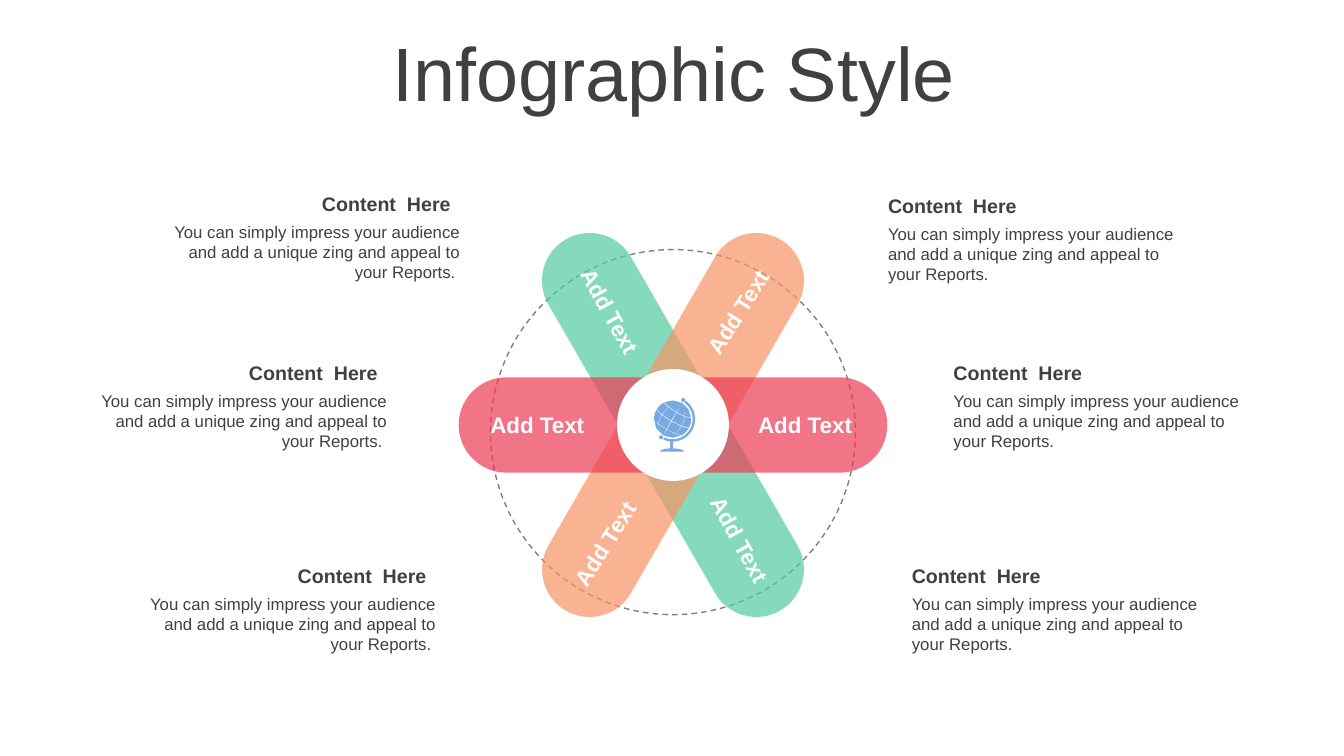
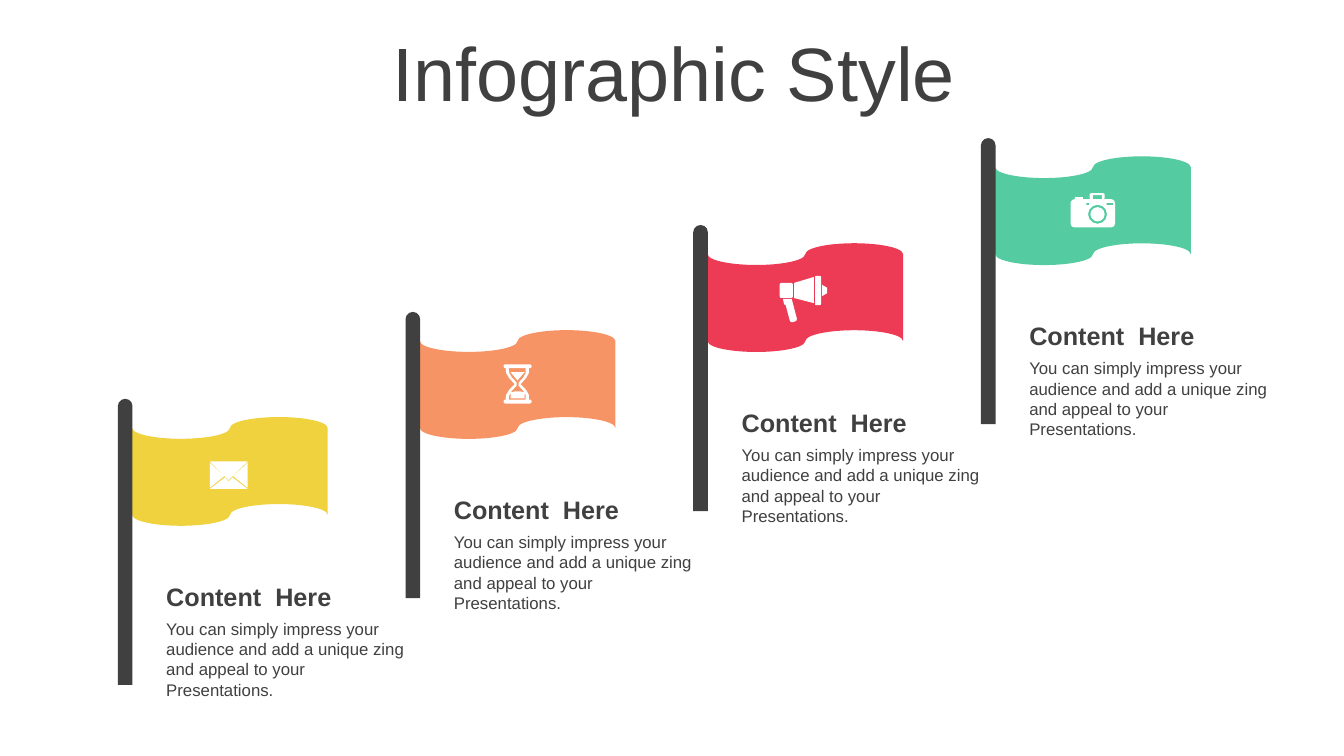
"""Builds two infographic slides: a wheel of six labels and a rising row of flags."""
from dataclasses import dataclass
from itertools import pairwise, product
from math import cos, pi, radians, sin
from typing import Callable, Optional

from lxml.etree import SubElement
from pptx import Presentation
from pptx.dml.color import RGBColor
from pptx.enum.dml import MSO_LINE
from pptx.enum.shapes import MSO_SHAPE
from pptx.enum.text import MSO_ANCHOR, MSO_AUTO_SIZE, PP_ALIGN
from pptx.oxml.ns import qn
from pptx.shapes.autoshape import Shape
from pptx.slide import Slide
from pptx.util import Cm, Pt

DARK = RGBColor(0x40, 0x40, 0x40)
GREY = RGBColor(0x80, 0x80, 0x80)
WHITE = RGBColor(0xFF, 0xFF, 0xFF)
GREEN = RGBColor(0x54, 0xCB, 0xA0)
ORANGE = RGBColor(0xF7, 0x94, 0x65)
RED = RGBColor(0xED, 0x3B, 0x55)
YELLOW = RGBColor(0xF0, 0xD2, 0x3F)
BLUE = RGBColor(0x78, 0xAA, 0xE1)

FONT = "Arial"
HEADING = "Content  Here"
PITCH = "You can simply impress your audience and add a unique zing and appeal to your "

Contour = list[tuple[float, ...]]


@dataclass(frozen=True)
class Blade:
    """A wheel blade through the hub."""
    color: RGBColor
    angle: float


@dataclass(frozen=True)
class Label:
    """A blade label, placed by its centre."""
    x: float
    y: float
    angle: float = 0


@dataclass(frozen=True)
class Caption:
    """A caption beside the wheel; edge is the side facing the wheel."""
    edge: float
    top: float
    align: PP_ALIGN


@dataclass(frozen=True)
class Flag:
    """A flag with the icon outlines and the icon's offset in the cloth."""
    color: RGBColor
    icon: list[Contour]
    dx: float
    dy: float


def rounded(x: float, y: float, w: float, h: float, r: float) -> Contour:
    """Outline of a rounded rectangle."""
    k, right, bottom = 0.45 * r, x + w, y + h
    return [
        (x + r, y), (right - r, y), (right - k, y, right, y + k, right, y + r),
        (right, bottom - r), (right, bottom - k, right - k, bottom, right - r, bottom),
        (x + r, bottom), (x + k, bottom, x, bottom - k, x, bottom - r),
        (x, y + r), (x, y + k, x + k, y, x + r, y),
    ]


def circle(x: float, y: float, r: float) -> Contour:
    """Outline of a circle around a centre."""
    k = 0.55 * r
    return [
        (x, y - r), (x + k, y - r, x + r, y - k, x + r, y),
        (x + r, y + k, x + k, y + r, x, y + r), (x - k, y + r, x - r, y + k, x - r, y),
        (x - r, y - k, x - k, y - r, x, y - r),
    ]


def box(x: float, y: float, w: float, h: float) -> Contour:
    """Outline of a rectangle."""
    return [(x, y), (x + w, y), (x + w, y + h), (x, y + h)]


def globe() -> list[Contour]:
    """Outlines of a tilted desk globe: the cells between its grid lines, arm and stand."""
    x, y, radius, tilt, gap = 47, 53, 47, radians(30), 0.02

    def spot(turn: float, latitude: float) -> tuple[float, float]:
        u = radius * sin(turn) * cos(latitude)
        v = radius * sin(latitude) + 8 * cos(turn) * cos(latitude)
        return x + u * cos(tilt) - v * sin(tilt), y + u * sin(tilt) + v * cos(tilt)

    turns = pairwise((-pi / 2, -0.65, 0, 0.65, pi / 2))
    latitudes = pairwise((-pi / 2, -0.6, -0.05, 0.5, pi / 2))
    cells = []
    for (west, east), (north, south) in product(turns, latitudes):
        west, east, north, south = west + gap, east - gap, north + gap, south - gap
        middle, level = (west + east) / 2, (north + south) / 2
        cells.append([spot(*corner) for corner in (
            (west, north), (middle, north), (east, north), (east, level),
            (east, south), (middle, south), (west, south), (west, level))])
    sweep = [radians(angle) for angle in range(-54, 115, 12)]
    arm = [(x + 57 * cos(a), y + 57 * sin(a)) for a in sweep]
    arm += [(x + 51 * cos(a), y + 51 * sin(a)) for a in reversed(sweep)]
    stand = [(41, 110), (48, 110), (48, 127), (62, 127, 76, 130, 76, 135),
             (15, 135), (15, 130, 27, 127, 41, 127)]
    return cells + [arm, stand, circle(74, 5, 5), circle(18, 99, 5)]


ENVELOPE = [
    [(0, 0), (95, 0), (47, 47)],
    [(0, 3), (36, 37), (0, 66)],
    [(95, 3), (95, 66), (59, 37)],
    [(0, 69), (38, 40), (47, 50), (57, 40), (95, 69)],
]
HOURGLASS = [
    rounded(0, 0, 71, 10, 5),
    rounded(0, 89, 71, 10, 5),
    [(5, 10), (64, 10), (67, 23, 60, 33, 43, 50), (60, 66, 67, 76, 64, 89),
     (5, 89), (4, 76, 11, 66, 28, 50), (11, 33, 4, 23, 5, 10)],
    [(13, 10), (56, 10), (58, 24, 54, 30, 38, 46), (38, 54), (54, 70, 58, 76, 56, 89),
     (13, 89), (13, 76, 17, 70, 33, 54), (33, 46), (17, 30, 13, 24, 13, 10)],
    [(18, 20), (53, 20), (35, 41)],
    [(18, 86), (18, 71), (29, 67, 42, 67, 53, 71), (53, 86)],
]
MEGAPHONE = [
    [(8, 58), (30, 58), (33, 69), (43, 107), (44, 112, 41, 115, 38, 115),
     (33, 117), (29, 118, 26, 115, 25, 112), (15, 74), (11, 72)],
    [(107, 23), (126, 23, 126, 51, 107, 51)],
    rounded(0, 18, 33, 38, 4),
    [(86, 3), (86, 69), (36, 56), (36, 18)],
    rounded(89, 0, 15, 74, 3),
]
CAMERA = [
    rounded(0, 15, 112, 71, 10),
    circle(68, 53, 24), circle(68, 53, 18),
    box(40, 24, 7, 6), box(91, 24, 16, 6), box(11, 10, 20, 5),
    rounded(48, 0, 38, 15, 4), box(56, 5, 23, 10),
]

BLADES = [Blade(GREEN, 330), Blade(ORANGE, 30), Blade(RED, 90)]
LABELS = [
    Label(15.37, 7.84, 61.2), Label(18.64, 13.6, 61.2),
    Label(18.59, 7.86, 302.3), Label(15.24, 13.7, 302.3),
    Label(20.29, 10.7), Label(13.54, 10.7),
]
CAPTIONS = [
    Caption(22.13, 4.76, PP_ALIGN.LEFT), Caption(23.78, 8.97, PP_ALIGN.LEFT),
    Caption(22.73, 14.08, PP_ALIGN.LEFT), Caption(11.85, 4.71, PP_ALIGN.RIGHT),
    Caption(10.01, 8.97, PP_ALIGN.RIGHT), Caption(11.24, 14.08, PP_ALIGN.RIGHT),
]
FLAGS = [
    Flag(YELLOW, ENVELOPE, 1.96, 1.12), Flag(ORANGE, HOURGLASS, 2.11, 0.86),
    Flag(RED, MEGAPHONE, 1.82, 0.82), Flag(GREEN, CAMERA, 1.9, 0.93),
]


def add_text(slide: Slide, text: str, left: float, top: float, width: float, height: float,
             size: float, color: RGBColor = DARK, bold: bool = False,
             align: PP_ALIGN = PP_ALIGN.LEFT, anchor: MSO_ANCHOR = MSO_ANCHOR.TOP,
             angle: float = 0, spacing: Optional[float] = None,
             fit: MSO_AUTO_SIZE = MSO_AUTO_SIZE.SHAPE_TO_FIT_TEXT) -> None:
    """Add a one-paragraph text box."""
    area = slide.shapes.add_textbox(Cm(left), Cm(top), Cm(width), Cm(height))
    area.rotation = angle
    frame = area.text_frame
    frame.word_wrap = True
    frame.auto_size = fit
    frame.vertical_anchor = anchor
    paragraph = frame.paragraphs[0]
    paragraph.text = text
    paragraph.alignment = align
    paragraph.line_spacing = spacing
    font = paragraph.font
    font.name, font.size, font.bold = FONT, Pt(size), bold
    font.color.rgb = color


def paint(shape: Shape, fill: Optional[RGBColor], line: Optional[RGBColor] = None) -> Shape:
    """Give a shape flat colours and no shadow."""
    shape.shadow.inherit = False
    if fill is None:
        shape.fill.background()
    else:
        shape.fill.solid()
        shape.fill.fore_color.rgb = fill
    if line is None:
        shape.line.fill.background()
    else:
        shape.line.color.rgb = line
        shape.line.width = Pt(1)
    return shape


def add_preset(slide: Slide, kind: MSO_SHAPE, left: float, top: float, width: float,
               height: float, fill: Optional[RGBColor],
               line: Optional[RGBColor] = None) -> Shape:
    """Add a painted preset shape."""
    shape = slide.shapes.add_shape(kind, Cm(left), Cm(top), Cm(width), Cm(height))
    return paint(shape, fill, line)


def flatten(contour: Contour, steps: int = 3) -> list[tuple[float, float]]:
    """Turn points and cubic curves into points."""
    points: list[tuple[float, float]] = []
    for part in contour:
        if len(part) == 2:
            points.append((part[0] * 10, part[1] * 10))
            continue
        x0, y0 = points[-1]
        x1, y1, x2, y2, x3, y3 = (value * 10 for value in part)
        for step in range(1, steps + 1):
            t = step / steps
            a, b, c, d = (1 - t) ** 3, 3 * t * (1 - t) ** 2, 3 * t * t * (1 - t), t ** 3
            points.append((a * x0 + b * x1 + c * x2 + d * x3,
                           a * y0 + b * y1 + c * y2 + d * y3))
    return points


def add_icon(slide: Slide, contours: list[Contour], left: float, top: float,
             fill: RGBColor) -> None:
    """Add contours, in tenths of a millimetre, as one freeform."""
    paths = [flatten(contour) for contour in contours]
    builder = slide.shapes.build_freeform(*paths[0][0], scale=float(Cm(0.001)))
    for index, points in enumerate(paths):
        if index:
            builder.move_to(*points[0])
        builder.add_line_segments(points[1:])
    paint(builder.convert_to_shape(Cm(left), Cm(top)), fill)


def add_wheel(slide: Slide) -> None:
    """Draw the wheel of blades with its labels and captions."""
    x, y = 16.96, 10.71
    ring = add_preset(slide, MSO_SHAPE.OVAL, x - 4.6, 6.29, 9.2, 9.2, None, GREY)
    ring.line.dash_style = MSO_LINE.DASH
    for blade in BLADES:
        pill = add_preset(slide, MSO_SHAPE.ROUNDED_RECTANGLE, x - 1.2, y - 5.4, 2.4, 10.8,
                          blade.color)
        pill.adjustments[0] = 0.5
        pill.rotation = blade.angle
        tint = pill.element.spPr.find(qn("a:solidFill")).find(qn("a:srgbClr"))
        SubElement(tint, qn("a:alpha")).set("val", "70000")
    add_preset(slide, MSO_SHAPE.OVAL, x - 1.41, y - 1.41, 2.82, 2.82, WHITE)
    add_icon(slide, globe(), 16.48, 10.03, BLUE)
    for label in LABELS:
        add_text(slide, "Add Text", label.x - 1.95, label.y - 0.47, 3.9, 0.94, 16, WHITE,
                 True, PP_ALIGN.CENTER, angle=label.angle)
    for caption in CAPTIONS:
        on_left = caption.align == PP_ALIGN.RIGHT
        width = 7.75 if on_left else 7.85
        left = caption.edge - width if on_left else caption.edge
        indent = 0.24 if on_left else 0
        ending = "Reports. " if on_left else "Reports."
        add_text(slide, HEADING, left - indent, caption.top, width, 0.86, 14, bold=True,
                 align=caption.align)
        add_text(slide, PITCH + ending, left, caption.top + 0.75, width, 1.8, 12,
                 align=caption.align)


def add_flags(slide: Slide) -> None:
    """Draw the rising row of flags with their captions."""
    for index, flag in enumerate(FLAGS):
        left, top = 2.97 + 7.25 * index, 10.05 - 2.19 * index
        cloth_left, cloth_top = left + 0.36, top + 0.46
        add_preset(slide, MSO_SHAPE.FLOWCHART_PUNCHED_TAPE, cloth_left, cloth_top,
                   4.93, 2.74, flag.color)
        pole = add_preset(slide, MSO_SHAPE.ROUND_2_SAME_RECTANGLE, left, top, 0.37, 7.21, DARK)
        pole.adjustments[0], pole.adjustments[1] = 0.5, 0
        add_icon(slide, flag.icon, cloth_left + flag.dx, cloth_top + flag.dy, WHITE)
        add_text(slide, HEADING, left + 0.97, top + 4.47, 6.73, 1.02, 18, bold=True,
                 anchor=MSO_ANCHOR.MIDDLE)
        add_text(slide, PITCH + "Presentations.", left + 0.97, top + 5.42, 6.71, 1.8, 12)


def main() -> None:
    """Build and save the slides."""
    deck = Presentation()
    deck.slide_width, deck.slide_height = Cm(33.87), Cm(19.05)
    drawings: list[Callable[[Slide], None]] = [add_wheel, add_flags]
    for draw in drawings:
        slide = deck.slides.add_slide(deck.slide_layouts[6])
        add_text(slide, "Infographic Style", 0.9, 0.94, 32.16, 2, 54, align=PP_ALIGN.CENTER,
                 anchor=MSO_ANCHOR.MIDDLE, spacing=0.9, fit=MSO_AUTO_SIZE.NONE)
        draw(slide)
    deck.save("out.pptx")


if __name__ == "__main__":
    main()
